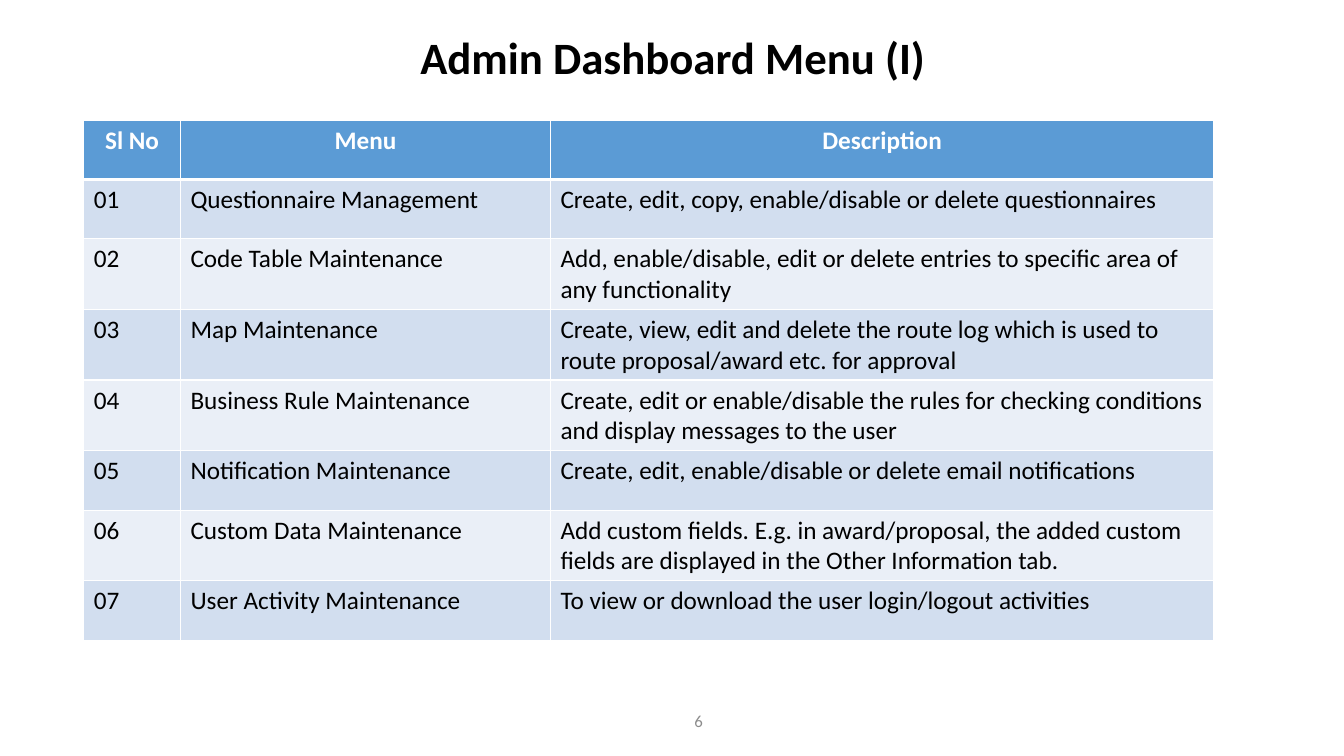
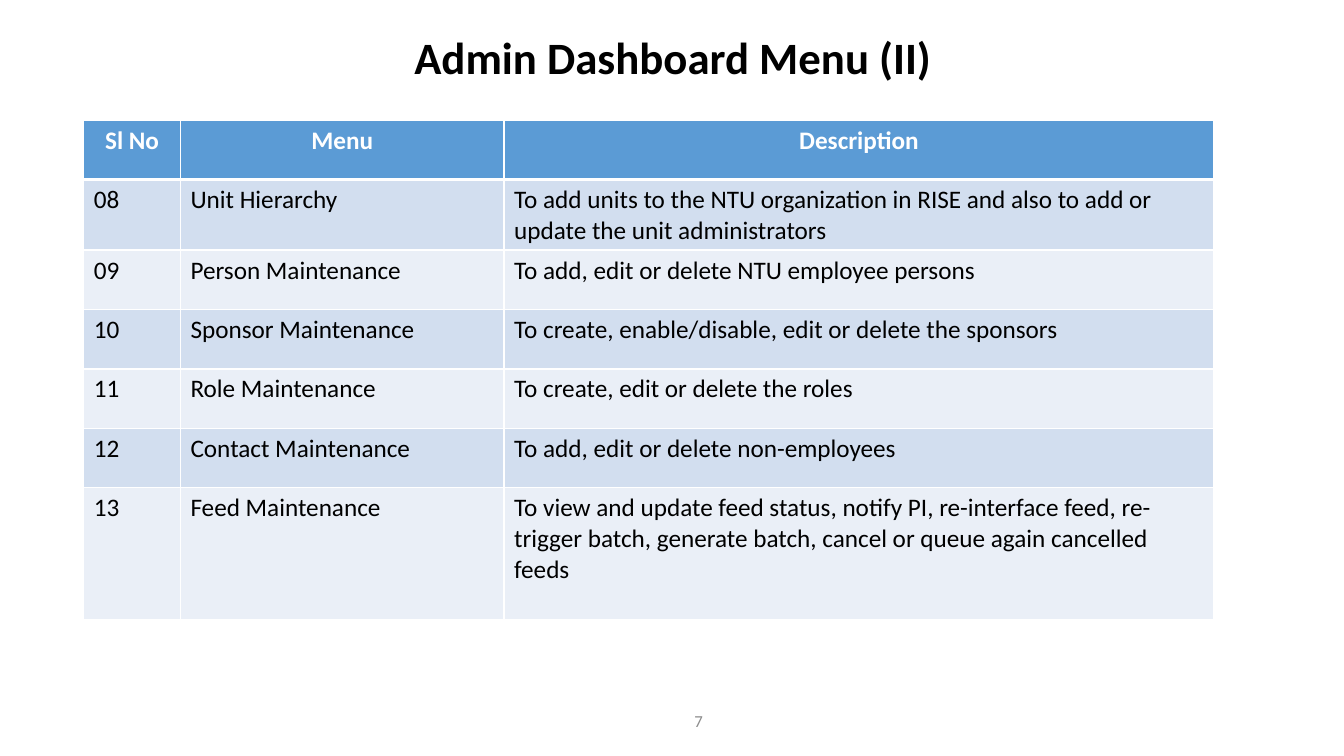
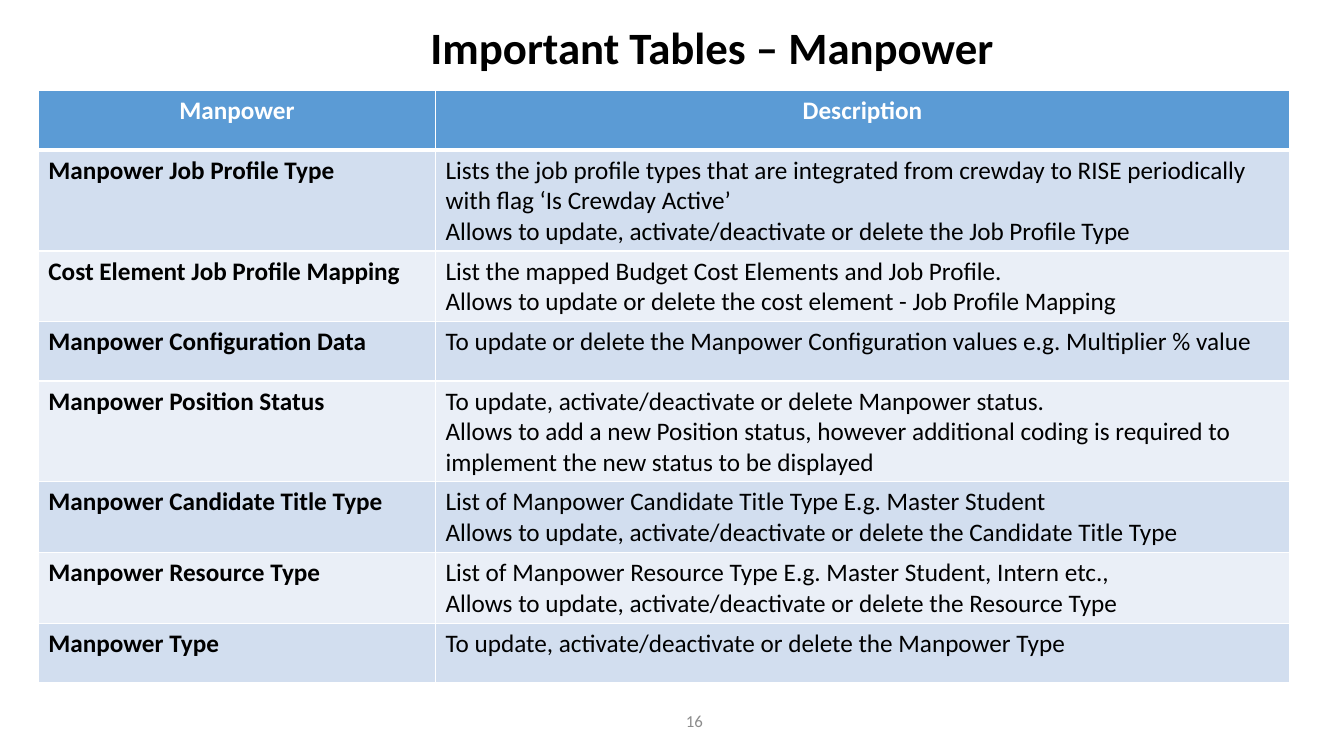
from lxml import etree
from pptx import Presentation
from pptx.dml.color import RGBColor
from pptx.enum import text
from pptx.oxml import ns
from pptx.util import Inches, Pt

FONT = "Calibri"
BLACK = RGBColor(0x00, 0x00, 0x00)
WHITE = RGBColor(0xFF, 0xFF, 0xFF)
GRAY = RGBColor(0x8C, 0x8C, 0x8C)
HEADER_BLUE = RGBColor(0x5B, 0x9B, 0xD5)
BANDS = [RGBColor(0xEA, 0xEF, 0xF7), RGBColor(0xD2, 0xDE, 0xEF)]
LEFT, CENTER, RIGHT = text.PP_ALIGN.LEFT, text.PP_ALIGN.CENTER, text.PP_ALIGN.RIGHT

ROW_HEIGHT = 0.59
MENU_HEADER = ["Sl No", "Menu", "Description"]

PAGES = [
    {
        "title": "Admin Dashboard Menu (I)", "title_at": (3.25, 0.22, 6.85, 0.74),
        "number": 6, "table_at": (0.83, 1.19), "columns": [0.96, 3.67, 6.58],
        "rows": [
            MENU_HEADER,
            ["01", "Questionnaire Management",
             "Create, edit, copy, enable/disable or delete questionnaires"],
            ["02", "Code Table Maintenance",
             "Add, enable/disable, edit or delete entries to specific area of any functionality"],
            ["03", "Map Maintenance",
             "Create, view, edit and delete the route log which is used to route "
             "proposal/award etc. for approval"],
            ["04", "Business Rule Maintenance",
             "Create, edit or enable/disable the rules for checking conditions "
             "and display messages to the user"],
            ["05", "Notification Maintenance",
             "Create, edit, enable/disable or delete email notifications"],
            ["06", "Custom Data Maintenance",
             "Add custom fields. E.g. in award/proposal, the added custom fields "
             "are displayed in the Other Information tab."],
            ["07", "User Activity Maintenance",
             "To view or download the user login/logout activities"],
        ],
    },
    {
        "title": "Admin Dashboard Menu (II)", "title_at": (3.25, 0.22, 6.85, 0.74),
        "number": 7, "table_at": (0.83, 1.19), "columns": [0.96, 3.21, 7.04],
        "last_height": 1.31,
        "rows": [
            MENU_HEADER,
            ["08", "Unit Hierarchy",
             "To add units to the NTU organization in RISE and also to add or "
             "update the unit administrators"],
            ["09", "Person Maintenance", "To add, edit or delete NTU employee persons"],
            ["10", "Sponsor Maintenance",
             "To create, enable/disable, edit or delete the sponsors"],
            ["11", "Role Maintenance", "To create, edit or delete the roles"],
            ["12", "Contact Maintenance", "To add, edit or delete non-employees"],
            ["13", "Feed Maintenance",
             "To view and update feed status, notify PI, re-interface feed, re-trigger "
             "batch, generate batch, cancel or queue again cancelled feeds"],
        ],
    },
    {
        "title": "Important Tables – Manpower", "title_at": (3.26, 0.13, 7.61, 0.74),
        "number": 16, "table_at": (0.38, 0.9), "columns": [3.94, 8.47],
        "bold_first": True,
        "rows": [
            ["Manpower", "Description"],
            ["Manpower Job Profile Type",
             "Lists the job profile types that are integrated from crewday to RISE "
             "periodically with flag ‘Is Crewday Active’\n"
             "Allows to update, activate/deactivate or delete the Job Profile Type"],
            ["Cost Element Job Profile Mapping",
             "List the mapped Budget Cost Elements and Job Profile.\n"
             "Allows to update or delete the cost element - Job Profile Mapping"],
            ["Manpower Configuration Data",
             "To update or delete the Manpower Configuration values e.g. Multiplier % value"],
            ["Manpower Position Status",
             "To update, activate/deactivate or delete Manpower status.\n"
             "Allows to add a new Position status, however additional coding is "
             "required to implement the new status to be displayed"],
            ["Manpower Candidate Title Type",
             "List of Manpower Candidate Title Type E.g. Master Student\n"
             "Allows to update, activate/deactivate or delete the Candidate Title Type"],
            ["Manpower Resource Type",
             "List of Manpower Resource Type E.g. Master Student, Intern etc.,\n"
             "Allows to update, activate/deactivate or delete the Resource Type"],
            ["Manpower Type", "To update, activate/deactivate or delete the Manpower Type"],
        ],
    },
]


def write(frame, words, size=18, color=BLACK, bold=False, align=LEFT, spacing=1.0):
    frame.text = words
    for para in frame.paragraphs:
        para.alignment = align
        para.line_spacing = spacing
        for span in para.runs:
            span.font.name = FONT
            span.font.size = Pt(size)
            span.font.bold = bold
            span.font.color.rgb = color


def add_borders(cell, top=1, bottom=1):
    properties = cell._tc.get_or_add_tcPr()
    sides = [("lnL", 1), ("lnR", 1), ("lnT", top), ("lnB", bottom)]
    for place, (side, width) in enumerate(sides):
        line = etree.Element(ns.qn("a:" + side), w=str(Pt(width)))
        fill = etree.SubElement(line, ns.qn("a:solidFill"))
        etree.SubElement(fill, ns.qn("a:srgbClr"), val=str(WHITE))
        properties.insert(place, line)


deck = Presentation()
deck.slide_width = Inches(13.33)
deck.slide_height = Inches(7.5)

for content in PAGES:
    page = deck.slides.add_slide(deck.slide_layouts[5])

    title = page.shapes.title
    title.left, title.top, title.width, title.height = map(Inches, content["title_at"])
    write(title.text_frame, content["title"], size=32, bold=True, align=CENTER, spacing=0.9)
    title.text_frame.auto_size = text.MSO_AUTO_SIZE.NONE
    title.text_frame.vertical_anchor = text.MSO_ANCHOR.MIDDLE

    number = page.shapes.add_textbox(Inches(4.07), Inches(6.95), Inches(3), Inches(0.4))
    number.text_frame.word_wrap = True
    number.text_frame.vertical_anchor = text.MSO_ANCHOR.MIDDLE
    write(number.text_frame, str(content["number"]), size=12, color=GRAY, align=RIGHT)

    rows, columns = content["rows"], content["columns"]
    left, top = content["table_at"]
    table = page.shapes.add_table(
        len(rows), len(columns), Inches(left), Inches(top),
        Inches(sum(columns)), Inches(ROW_HEIGHT * len(rows))).table
    for column, width in zip(table.columns, columns):
        column.width = Inches(width)
    for row in table.rows:
        row.height = Inches(ROW_HEIGHT)
    table.rows[len(rows) - 1].height = Inches(content.get("last_height", ROW_HEIGHT))

    for r, row in enumerate(rows):
        for c, words in enumerate(row):
            cell = table.cell(r, c)
            cell.fill.solid()
            if r == 0:
                cell.fill.fore_color.rgb = HEADER_BLUE
                write(cell.text_frame, words, color=WHITE, bold=True, align=CENTER)
            else:
                cell.fill.fore_color.rgb = BANDS[r % 2]
                write(cell.text_frame, words, bold=c == 0 and content.get("bold_first", False))
            add_borders(cell, top=3 if r == 1 else 1, bottom=3 if r == 0 else 1)

deck.save("out.pptx")
